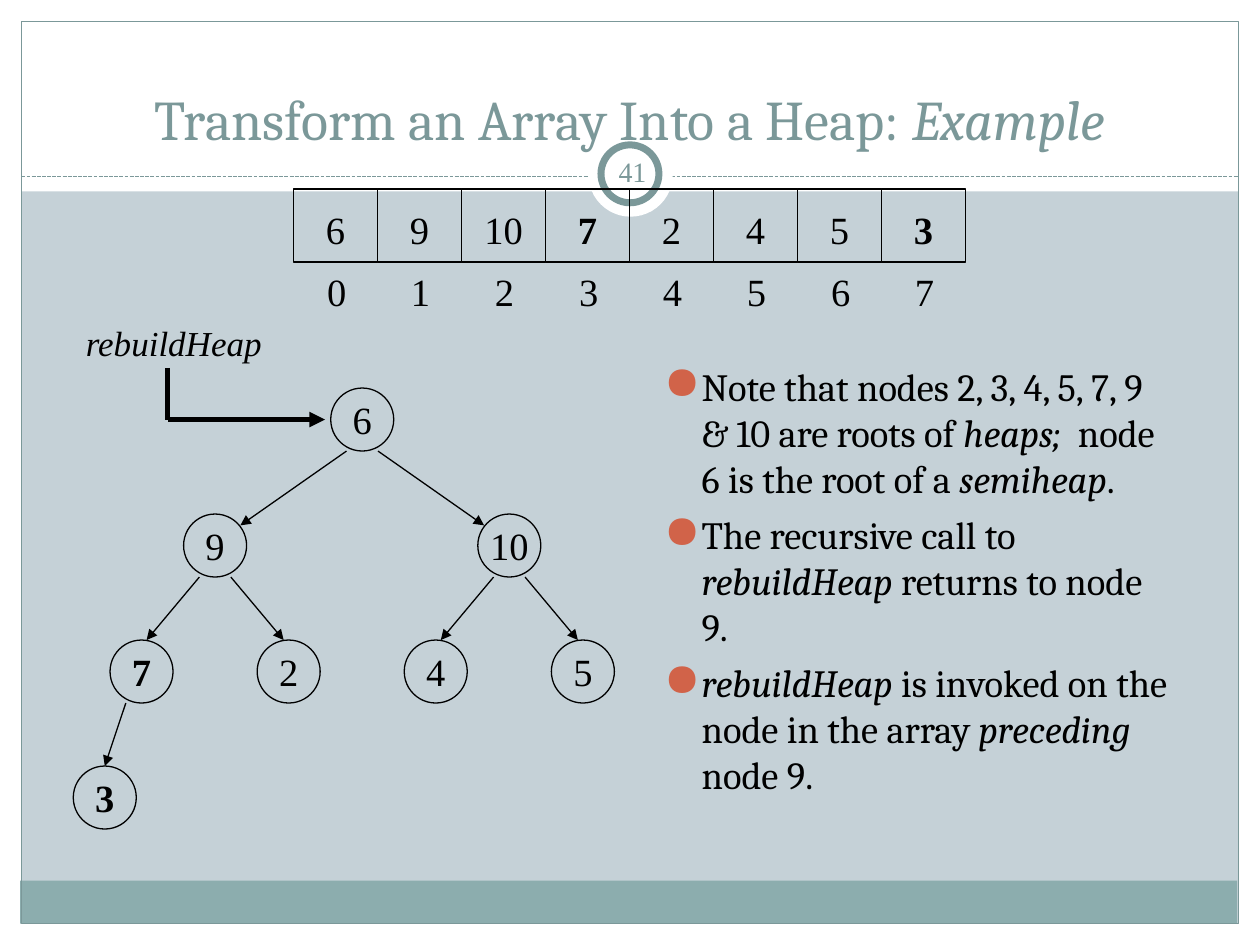
from lxml import etree
from pptx import Presentation
from pptx.dml.color import RGBColor
from pptx.enum import dml, shapes, text
from pptx.oxml.ns import qn
from pptx.util import Inches, Pt

BLACK, WHITE, TEAL = "000000", "FFFFFF", "7B9899"
SERIF, ROMAN = "Cambria", "Times New Roman"
RECT, OVAL = shapes.MSO_SHAPE.RECTANGLE, shapes.MSO_SHAPE.OVAL
TOP, MID, LOW = (text.MSO_ANCHOR.TOP, text.MSO_ANCHOR.MIDDLE,
                 text.MSO_ANCHOR.BOTTOM)


def color(code):
    return RGBColor.from_string(code)


class Board:
    """Holds the current slide and the shared style."""

    def __init__(self, slide, size=22):
        self.slide = slide
        self.size = size

    def shape(self, kind, box, fill=None, line=None, width=0.75):
        item = self.slide.shapes.add_shape(kind, *map(Inches, box))
        item.shadow.inherit = False
        if fill:
            item.fill.solid()
            item.fill.fore_color.rgb = color(fill)
        else:
            item.fill.background()
        if line:
            item.line.color.rgb = color(line)
            item.line.width = Pt(width)
        else:
            item.line.fill.background()
        return item

    def letter(self, item, paras, font=ROMAN, size=None, ink=BLACK, bold=None,
               anchor=MID, align=text.PP_ALIGN.CENTER, wrap=True):
        """Fill an item; a paragraph is a list of runs, with italics in *...*."""
        frame = item.text_frame
        frame.word_wrap = wrap
        frame.vertical_anchor = anchor
        for i, runs in enumerate(paras):
            para = frame.paragraphs[0] if i == 0 else frame.add_paragraph()
            para.alignment = align
            para.font.name = font
            para.font.size = Pt(size or self.size)
            para.font.color.rgb = color(ink)
            para.font.bold = bold
            for words in runs:
                run = para.add_run()
                run.text = words.strip("*")
                if words.startswith("*"):
                    run.font.italic = True
        return frame

    def label(self, box, paras, **style):
        item = self.slide.shapes.add_textbox(*map(Inches, box))
        return self.letter(item, paras, **style)

    def bullets(self, box, paras):
        frame = self.label(box, paras, font=SERIF, anchor=TOP,
                           align=text.PP_ALIGN.LEFT)
        for para in frame.paragraphs:
            props = para._p.get_or_add_pPr()
            props.set("marL", str(Inches(0.3)))
            props.set("indent", str(-Inches(0.3)))
            para.space_before = Pt(5.5)
            tint = etree.Element(qn("a:buClr"))
            etree.SubElement(tint, qn("a:srgbClr"), val="D16349")
            scale = etree.Element(qn("a:buSzPct"), val="120000")
            mark = etree.Element(qn("a:buChar"), char="●")
            # Bullet marks belong after the spacing and before the font.
            spot = props.index(props.find(qn("a:spcBef"))) + 1
            props[spot:spot] = [tint, scale, mark]

    def line(self, start, end, ink=BLACK, width=0.75, arrow=False, dash=None):
        item = self.slide.shapes.add_connector(
            shapes.MSO_CONNECTOR.STRAIGHT, *map(Inches, (*start, *end)))
        item.line.color.rgb = color(ink)
        item.line.width = Pt(width)
        if dash:
            item.line.dash_style = dash
        if arrow:
            etree.SubElement(item.line._get_or_add_ln(), qn("a:tailEnd"),
                             type="triangle")
        etree.SubElement(item._element.spPr, qn("a:effectLst"))


def border(board):
    """Draw the slide's border, bands, title and number."""
    for box in ((0, 7.33, 10, 0.17), (0, 0, 10, 1.52),
                (0, 0, 0.17, 7.5), (9.83, 0, 0.17, 7.5)):
        board.shape(RECT, box, fill=WHITE)
    board.shape(RECT, (0.16, 6.99, 9.66, 0.34), fill="8CADAE")
    board.shape(RECT, (0.17, 0.17, 9.66, 7.16), line=TEAL)
    board.line((0.17, 1.4), (9.83, 1.4), TEAL,
               dash=dml.MSO_LINE.SQUARE_DOT)
    board.shape(OVAL, (4.67, 1.05, 0.67, 0.67), fill=WHITE)
    board.shape(OVAL, (4.77, 1.15, 0.46, 0.46), WHITE, TEAL, 4)
    board.label((0.75, 0.5, 8.5, 0.75),
                [["Transform an Array Into a Heap: ", "*Example*"]],
                font=SERIF, size=32, ink=TEAL, anchor=LOW)
    board.label((4.77, 1.12, 0.5, 0.48), [["41"]], size=16, ink=TEAL)


def tree(board, values, strong):
    """Draw the values as a binary tree, level by level."""
    left, span, top, size = 0.54, 4.67, 3.08, 0.5
    # How far an arrow tip sits from the top centre of a node, per level.
    tips = {1: (0.2, 0.09), 2: (0.04, 0), 3: (0, 0)}
    mids = []
    for i, value in enumerate(values):
        level = (i + 1).bit_length() - 1
        slot = i + 1 - 2 ** level
        x = left + (slot + 0.5) * span / 2 ** level
        y = top + level
        mids.append((x, y))
        node = board.shape(OVAL, (x - size / 2, y, size, size), line=BLACK)
        board.letter(node, [[str(value)]], bold=value in strong, wrap=False)
        if i:
            px, py = mids[(i - 1) // 2]
            side = 1 if i % 2 == 0 else -1
            dx, dy = tips[level]
            board.line((px + side * 0.125, py + size),
                       (x - side * dx, y + dy), arrow=True)


def array(board, values, strong):
    """Draw the values as a row of cells with an index under each."""
    left, top, step, high = 2.33, 1.5, 2 / 3, 0.58
    for i, value in enumerate(values):
        x = left + i * step
        cell = board.shape(RECT, (x, top, step, high), line=BLACK)
        board.letter(cell, [[str(value)]], bold=value in strong, wrap=False)
        cell.text_frame.margin_top = Inches(0.11)
        board.label((x + step / 4, top + high, step / 2, 0.47), [[str(i)]],
                    anchor=TOP)


def main():
    deck = Presentation()
    deck.slide_width, deck.slide_height = Inches(10), Inches(7.5)
    slide = deck.slides.add_slide(deck.slide_layouts[6])
    slide.background.fill.solid()
    slide.background.fill.fore_color.rgb = color("C5D1D7")
    board = Board(slide)

    border(board)
    board.bullets((5.17, 2.83, 4.25, 3.92), [
        ["Note that nodes 2, 3, 4, 5, 7, 9 & 10 are roots of ", "*heaps;*",
         "  node 6 is the root of a ", "*semiheap*", "."],
        ["The recursive call to", "* rebuildHeap *", "returns to node 9."],
        ["*rebuildHeap*", " is invoked on the node in the array ",
         "*preceding*", " node 9."],
    ])
    values, strong = [6, 9, 10, 7, 2, 4, 5, 3], {7, 3}
    tree(board, values, strong)
    array(board, values, strong)

    board.label((0.58, 2.5, 1.6, 0.44), [["*rebuildHeap*"]], size=20,
                wrap=False)
    board.line((1.33, 2.92), (1.33, 3.33), width=3)
    board.line((1.33, 3.33), (2.58, 3.33), width=3, arrow=True)
    deck.save("out.pptx")


if __name__ == "__main__":
    main()
